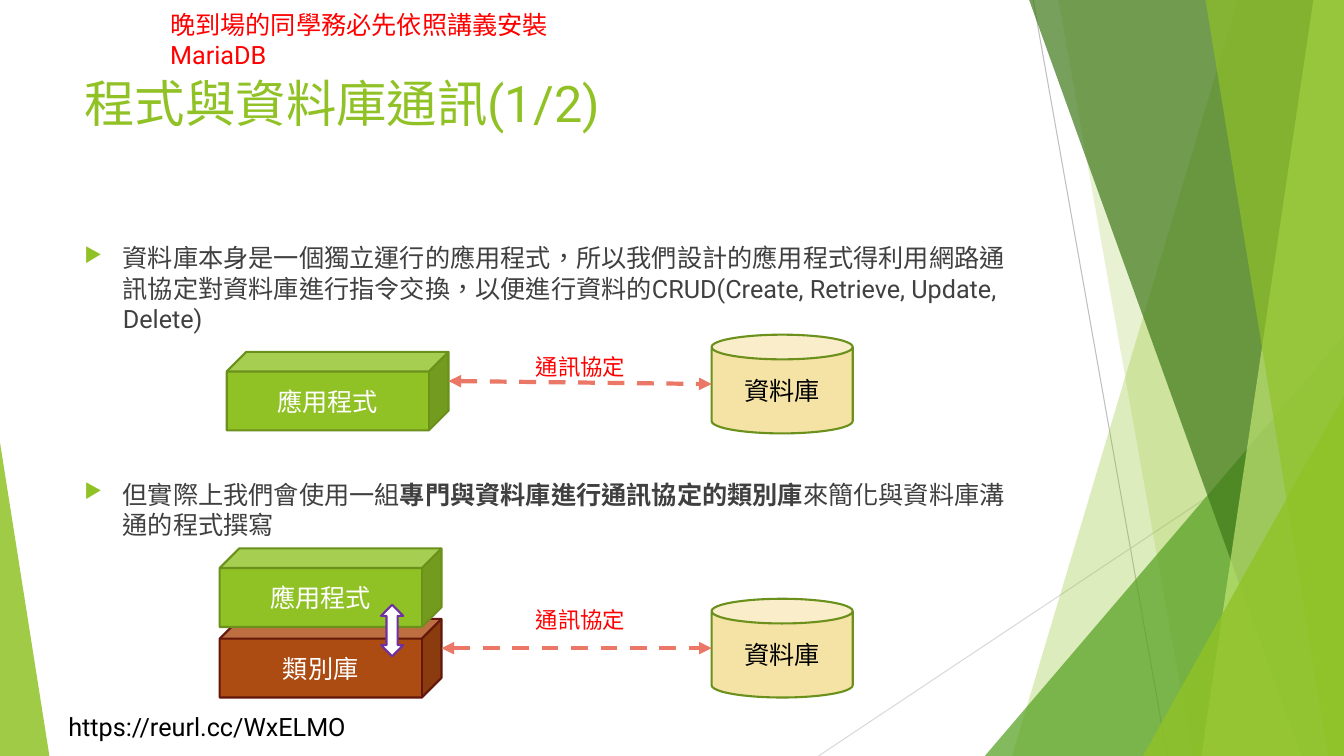
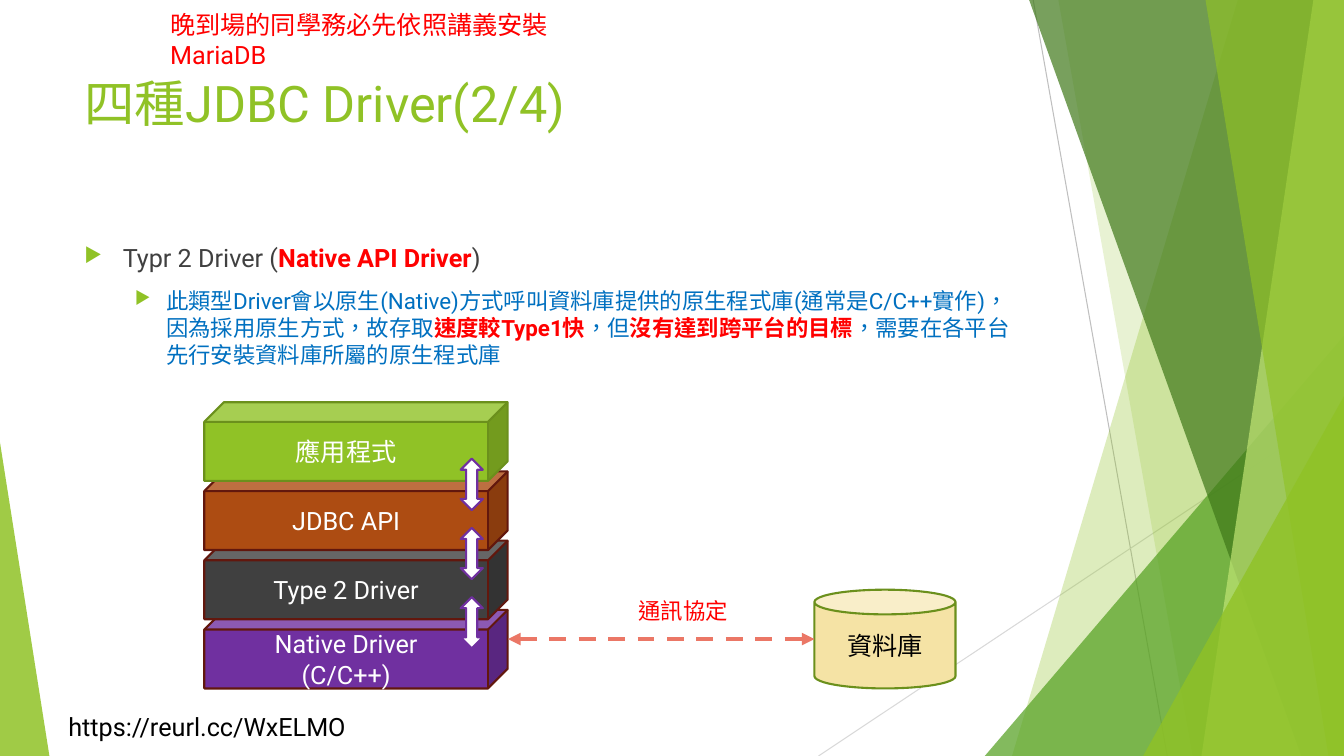
from lxml.etree import SubElement
from pptx import Presentation
from pptx.dml.color import RGBColor
from pptx.enum.dml import MSO_LINE
from pptx.enum.lang import MSO_LANGUAGE_ID
from pptx.enum.shapes import MSO_CONNECTOR, MSO_SHAPE
from pptx.enum.text import MSO_ANCHOR, PP_ALIGN
from pptx.oxml.ns import qn
from pptx.util import Emu, Inches, Pt

COLUMNS, ROWS = 40, 22.5
CELL = Inches(1 / 3)
FONT = "Roboto"

LIME = RGBColor(0x90, 0xC2, 0x26)
LEAF = RGBColor(0x54, 0xA0, 0x21)
FOREST = RGBColor(0x3F, 0x78, 0x19)
PALE_LIME = RGBColor(0xC0, 0xE4, 0x74)
OLIVE = RGBColor(0x6B, 0x90, 0x1C)
RUST = RGBColor(0xAD, 0x4C, 0x12)
MAROON = RGBColor(0x62, 0x17, 0x0D)
PURPLE = RGBColor(0x70, 0x30, 0xA0)
CREAM = RGBColor(0xF5, 0xE3, 0xA5)
CORAL = RGBColor(0xEB, 0x77, 0x66)
RED = RGBColor(0xFF, 0x00, 0x00)
BLUE = RGBColor(0x00, 0x70, 0xC0)
CHARCOAL = RGBColor(0x40, 0x40, 0x40)
SILVER = RGBColor(0xBF, 0xBF, 0xBF)
MIST = RGBColor(0xD9, 0xD9, 0xD9)
BLACK = RGBColor(0x00, 0x00, 0x00)
WHITE = RGBColor(0xFF, 0xFF, 0xFF)

CUBE_HEIGHT = 2.34
APPLICATION = (["應用程式"], LIME, OLIVE)


def grid(*cells):
    return [Emu(int(cell * CELL)) for cell in cells]


def add_run(paragraph, text, size, color, bold=False):
    run = paragraph.add_run()
    run.text = text
    font = run.font
    font.size = Pt(size)
    font.bold = bold
    font.name = FONT
    font.color.rgb = color
    font.language_id = MSO_LANGUAGE_ID.TRADITIONAL_CHINESE
    SubElement(font._element, qn("a:ea"), typeface=FONT)


def add_text(slide, box, text, size, color):
    frame = slide.shapes.add_textbox(*grid(*box)).text_frame
    frame.word_wrap = True
    add_run(frame.paragraphs[0], text, size, color)
    return frame


def paint(shape, fill, line=None, opacity=100):
    shape.shadow.inherit = False
    shape.fill.solid()
    shape.fill.fore_color.rgb = fill
    if opacity < 100:
        color = shape._element.spPr.find(qn("a:solidFill"))[0]
        SubElement(color, qn("a:alpha"), val=str(opacity * 1000))
    if line is None:
        shape.line.fill.background()
    else:
        shape.line.color.rgb = line
        shape.line.width = Pt(1.5)


def add_block(slide, kind, box, lines, fill, line, color=WHITE):
    block = slide.shapes.add_shape(kind, *grid(*box))
    paint(block, fill, line)
    frame = block.text_frame
    frame.word_wrap = True
    frame.vertical_anchor = MSO_ANCHOR.MIDDLE
    for index, text in enumerate(lines):
        paragraph = frame.add_paragraph() if index else frame.paragraphs[0]
        paragraph.alignment = PP_ALIGN.CENTER
        add_run(paragraph, text, 18, color)


def add_line(slide, start, end, color, width):
    line = slide.shapes.add_connector(MSO_CONNECTOR.STRAIGHT, *grid(*start, *end))
    line.line.color.rgb = color
    line.line.width = Pt(width)
    SubElement(line._element.spPr, qn("a:effectLst"))
    return line


def add_facet(slide, top, bottom, color, opacity):
    corners = [(top, 0), (COLUMNS, 0), (COLUMNS, ROWS), (bottom, ROWS)]
    points = [grid(*corner) for corner in corners]
    outline = slide.shapes.build_freeform(*points[0])
    outline.add_line_segments(points[1:])
    paint(outline.convert_to_shape(), color, opacity=opacity)


def add_corner(slide, left, top, width, apex, color, opacity):
    box = grid(left, top, width, ROWS - top)
    corner = slide.shapes.add_shape(MSO_SHAPE.ISOSCELES_TRIANGLE, *box)
    corner.adjustments[0] = apex
    paint(corner, color, opacity=opacity)


def add_backdrop(slide):
    add_line(slide, (30.75, 0), (34.74, ROWS), SILVER, 0.75)
    add_line(slide, (COLUMNS, 12.09), (24.36, ROWS), MIST, 0.75)
    add_facet(slide, 36.84, 30.12, LIME, 30)
    add_facet(slide, 31.5, 35.49, LIME, 20)
    add_corner(slide, 29.31, 9.99, 10.69, 1, LEAF, 72)
    add_facet(slide, 30.63, 38.73, FOREST, 70)
    add_facet(slide, 39.09, 35.76, PALE_LIME, 70)
    add_facet(slide, 35.88, 39.54, LIME, 65)
    add_corner(slide, 34.02, 11.79, 5.98, 1, LIME, 80)
    add_corner(slide, 0, 13.17, 1.47, 0, LIME, 85)


def start_slide(deck, title):
    slide = deck.slides.add_slide(deck.slide_layouts[6])
    add_backdrop(slide)
    add_text(slide, (1.74, 21.03, 9.36, 1.2), "https://reurl.cc/WxELMO", 18, BLACK)
    add_text(slide, (4.77, 0.12, 14.1, 2.1),
             "晚到場的同學務必先依照講義安裝MariaDB", 18, RED)
    add_text(slide, (2.22, 2.01, 28.2, 4.32), title, 36, LIME)
    return slide


def set_bullet(paragraph, indent, hanging):
    properties = paragraph._p.get_or_add_pPr()
    properties.set("marL", str(Inches(indent)))
    properties.set("indent", str(-Inches(hanging)))
    color = SubElement(properties, qn("a:buClr"))
    SubElement(color, qn("a:srgbClr"), val=str(LIME))
    SubElement(properties, qn("a:buSzPct"), val="80000")
    SubElement(properties, qn("a:buChar"), char="▶")


def add_points(slide, points):
    frame = slide.shapes.add_textbox(*grid(2.22, 7.08, 28.2, 12.72)).text_frame
    frame.word_wrap = True
    for index, (indent, hanging, gap, size, pieces) in enumerate(points):
        paragraph = frame.add_paragraph() if index else frame.paragraphs[0]
        set_bullet(paragraph, indent, hanging)
        if index:
            paragraph.space_before = Pt(gap)
        for text, color, bold in pieces:
            add_run(paragraph, text, size, color, bold)


def add_stack(slide, left, top, width, step, layers, arrow_left=0):
    for index, layer in reversed(list(enumerate(layers))):
        box = (left, top + index * step, width, CUBE_HEIGHT)
        add_block(slide, MSO_SHAPE.CUBE, box, *layer)
    for index in range(len(layers) - 1):
        box = grid(arrow_left, top + 1.68 + index * step, 0.66, 1.53)
        arrow = slide.shapes.add_shape(MSO_SHAPE.UP_DOWN_ARROW, *box)
        paint(arrow, WHITE, PURPLE)


def add_database(slide, left, top):
    add_block(slide, MSO_SHAPE.CAN, (left, top, 4.2, 2.94),
              ["資料庫"], CREAM, OLIVE, BLACK)


def add_protocol(slide, start, end, label_left, label_top):
    link = add_line(slide, start, end, CORAL, 3)
    link.line.dash_style = MSO_LINE.DASH
    stroke = link.line._get_or_add_ln()
    for tip in ("a:headEnd", "a:tailEnd"):
        SubElement(stroke, qn(tip), type="triangle")
    label = add_text(slide, (label_left, label_top, 3.3, 1.11), "通訊協定", 16, RED)
    label.margin_left = label.margin_right = 0
    label.paragraphs[0].alignment = PP_ALIGN.CENTER


def build_communication(deck):
    slide = start_slide(deck, "程式與資料庫通訊(1/2)")
    add_points(slide, [
        (0.38, 0.38, 0, 18, [
            ("資料庫本身是一個獨立運行的應用程式，所以我們設計的應用程式得利用網路通訊協定"
             "對資料庫進行指令交換，以便進行資料的CRUD(Create, Retrieve, Update, Delete)",
             CHARCOAL, False)]),
        (0.38, 0.38, 104, 18, [
            ("但實際上我們會使用一組", CHARCOAL, False),
            ("專門與資料庫進行通訊協定的類別庫", CHARCOAL, True),
            ("來簡化與資料庫溝通的程式撰寫", CHARCOAL, False)]),
    ])
    add_stack(slide, 6.75, 10.47, 6.6, 0, [APPLICATION])
    add_database(slide, 21.18, 9.96)
    add_protocol(slide, (13.35, 11.34), (21.18, 11.43), 15.63, 10.35)
    add_stack(slide, 6.54, 16.32, 6.6, 2.1,
              [APPLICATION, (["類別庫"], RUST, MAROON)], 11.34)
    add_database(slide, 21.18, 17.82)
    add_protocol(slide, (13.14, 19.29), (21.18, 19.29), 15.63, 17.88)


def build_native_driver(deck):
    slide = start_slide(deck, "四種JDBC Driver(2/4)")
    add_points(slide, [
        (0.38, 0.38, 0, 18, [
            ("Typr 2 Driver (", CHARCOAL, False),
            ("Native API Driver", RED, True),
            (")", CHARCOAL, False)]),
        (0.81, 0.31, 10, 16, [
            ("此類型Driver會以原生(Native)方式呼叫資料庫提供的原生程式庫"
             "(通常是C/C++實作)，因為採用原生方式，故存取", BLUE, False),
            ("速度較Type1快", RED, True),
            ("，但", BLUE, False),
            ("沒有達到跨平台的目標", RED, True),
            ("，需要在各平台先行安裝資料庫所屬的原生程式庫", BLUE, False)]),
    ])
    add_stack(slide, 6.08, 11.97, 9.03, 2.06, [
        APPLICATION,
        (["JDBC API"], RUST, MAROON),
        (["Type 2 Driver"], CHARCOAL, MAROON),
        (["Native Driver", "(C/C++)"], PURPLE, MAROON),
    ], 13.71)
    add_database(slide, 24.24, 17.55)
    add_protocol(slide, (15.12, 19.02), (24.24, 19.02), 18.69, 17.64)


def main():
    deck = Presentation()
    deck.slide_width, deck.slide_height = grid(COLUMNS, ROWS)
    build_communication(deck)
    build_native_driver(deck)
    deck.save("out.pptx")


if __name__ == "__main__":
    main()
